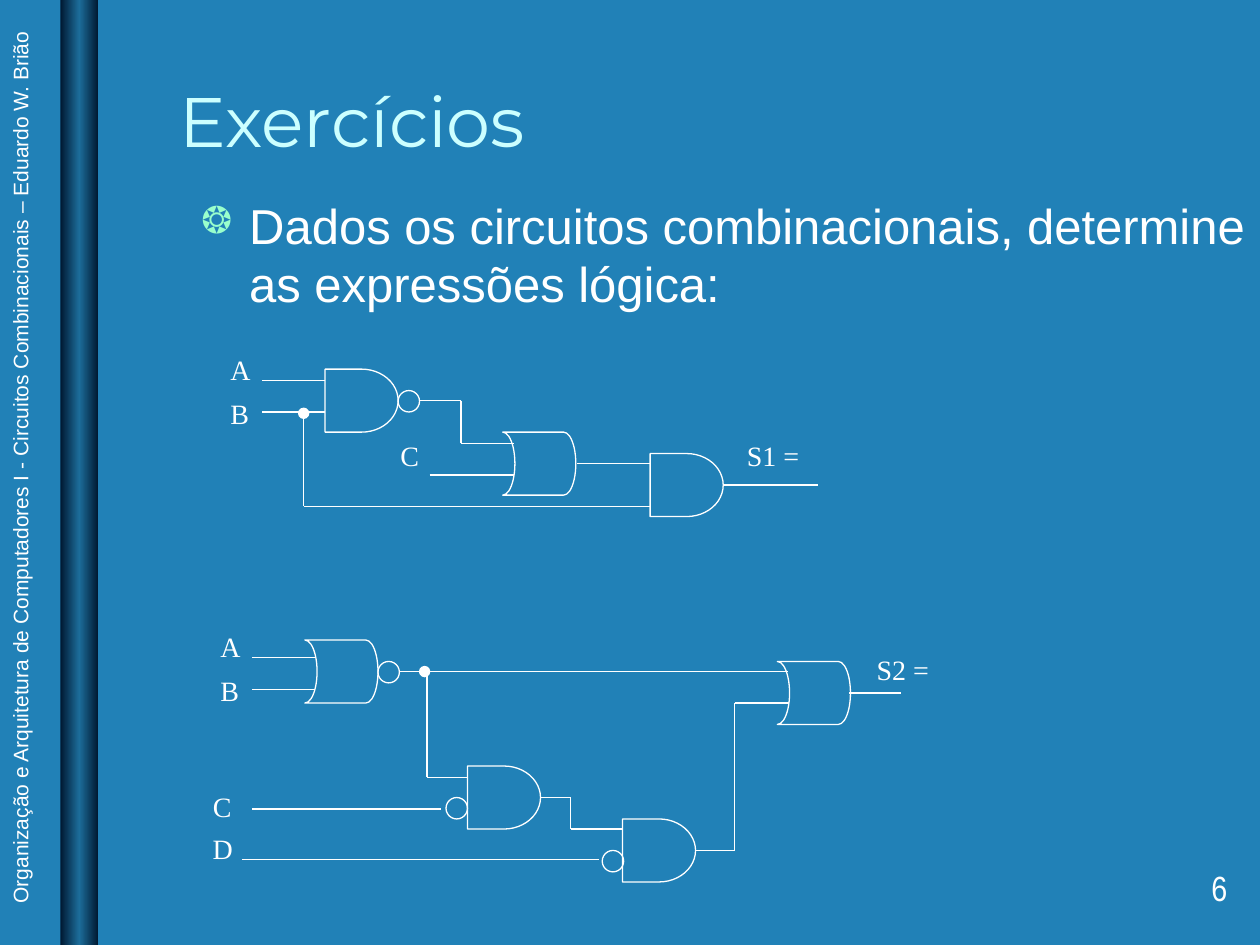
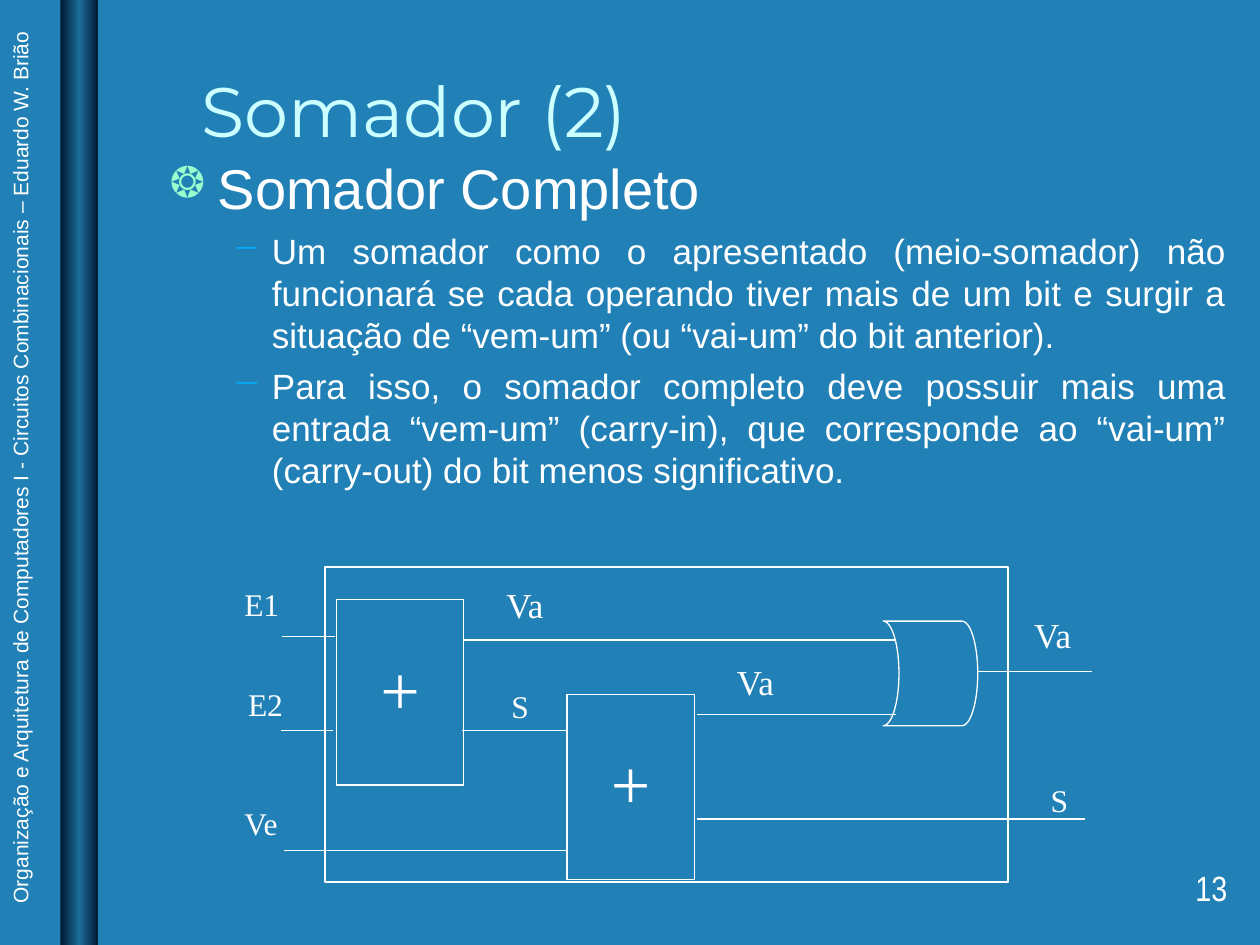
from copy import deepcopy
from dataclasses import dataclass
from itertools import pairwise

from lxml.etree import SubElement
from pptx import Presentation
from pptx.dml.color import RGBColor
from pptx.enum.shapes import MSO_CONNECTOR, MSO_SHAPE
from pptx.enum.text import MSO_ANCHOR, PP_ALIGN
from pptx.oxml.ns import qn
from pptx.util import Inches, Pt


@dataclass(frozen=True)
class Theme:
    back: str = "2181B7"
    ink: str = "FFFFFF"
    title: str = "CCFFFF"
    star: str = "99FFCC"
    dash: str = "01B0FF"
    edge: str = "001932"
    glow: str = "1C6D9A"
    head: str = "Montserrat"
    body: str = "Arial"
    page: str = "Arial Narrow"
    serif: str = "Times New Roman"
    big: int = 40
    small: int = 12
    sub: int = 20
    tag: int = 16
    line: float = 0.75


@dataclass(frozen=True)
class Bullet:
    char: str
    color: str
    left: float
    hang: float
    scale: int = 100


T = Theme()
STAR = Bullet("❂", T.star, 0.38, 0.38, 75)
DASH = Bullet("−", T.dash, 0.81, 0.31)
COURSE = ("Organização e Arquitetura de Computadores I - "
          "Circuitos Combinacionais – Eduardo W. Brião")
GATE = (0.58, 0.5)
BUBBLE = 0.17
DOT = 0.08


def rgb(code):
    return RGBColor.from_string(code)


def write(frame, words, *, size, font=T.body, color=T.ink,
          align=PP_ALIGN.LEFT, before=0, bullet=None):
    """Add one paragraph, filling the first one if it is still empty."""
    para = frame.paragraphs[0]
    if para.text:
        para = frame.add_paragraph()
    run = para.add_run()
    run.text = words
    run.font.size, run.font.name = Pt(size), font
    run.font.color.rgb = rgb(color)
    para.alignment = align
    if bullet:
        mark(para, bullet)
    para.space_before = Pt(before)


def mark(para, bullet):
    props = para._p.get_or_add_pPr()
    props.set("marL", str(Inches(bullet.left)))
    props.set("indent", str(-Inches(bullet.hang)))
    tint = SubElement(props, qn("a:buClr"))
    SubElement(tint, qn("a:srgbClr"), val=bullet.color)
    SubElement(props, qn("a:buSzPct"), val=str(bullet.scale * 1000))
    SubElement(props, qn("a:buChar"), char=bullet.char)


def frame(slide, at, wrap=True, anchor=MSO_ANCHOR.TOP, turn=0):
    """Add a text box and give back its text frame."""
    box = slide.shapes.add_textbox(*map(Inches, at))
    box.rotation = turn
    box.text_frame.word_wrap = wrap
    box.text_frame.vertical_anchor = anchor
    return box.text_frame


def label(slide, words, left, top, width, size=T.tag):
    high = 1.2 * size / 72 + 0.1
    write(frame(slide, (left, top, width, high), wrap=False), words,
          size=size, font=T.serif)


def shape(slide, kind, at, fill=None):
    item = slide.shapes.add_shape(kind, *map(Inches, at))
    item.shadow.inherit = False
    if fill:
        item.fill.solid()
        item.fill.fore_color.rgb = rgb(fill)
    else:
        item.fill.background()
    item.line.color.rgb = rgb(T.ink)
    item.line.width = Pt(T.line)
    return item


def and_gate(slide, left, top):
    return shape(slide, MSO_SHAPE.FLOWCHART_DELAY, (left, top, *GATE))


def or_gate(slide, left, top, size=GATE):
    item = shape(slide, MSO_SHAPE.FLOWCHART_STORED_DATA, (left, top, *size))
    item._element.spPr.xfrm.set("flipH", "1")


def bubble(slide, left, top):
    shape(slide, MSO_SHAPE.OVAL, (left, top, BUBBLE, BUBBLE))


def dot(slide, left, top):
    shape(slide, MSO_SHAPE.OVAL, (left, top, DOT, DOT), T.ink)


def wire(slide, *points, source=None):
    """Join the points in turn; a source gate feeds the first stretch."""
    for start, end in pairwise(points):
        link = slide.shapes.add_connector(
            MSO_CONNECTOR.STRAIGHT, *map(Inches, (*start, *end)))
        link.line.color.rgb = rgb(T.ink)
        link.line.width = Pt(T.line)
        SubElement(link._element.spPr, qn("a:effectLst"))
        if source is not None:
            link.begin_connect(source, 3)
            source = None


def adder(slide, left, top):
    box = shape(slide, MSO_SHAPE.RECTANGLE, (left, top, 1.01, 1.47))
    text = box.text_frame
    text.word_wrap = False
    text.vertical_anchor = MSO_ANCHOR.TOP
    text.margin_top = Inches(0.36)
    write(text, "+", size=T.big, font=T.serif, align=PP_ALIGN.CENTER)


def band(slide):
    bar = shape(slide, MSO_SHAPE.RECTANGLE, (0.48, 0, 0.3, 7.5))
    bar.line.fill.background()
    bar.fill.gradient()
    bar.fill.gradient_angle = 0
    stops = bar._element.spPr.find(".//" + qn("a:gsLst"))
    stops.append(deepcopy(stops[0]))
    looks = ((0, T.edge), (0.5, T.glow), (1, T.edge))
    for stop, (place, color) in zip(bar.fill.gradient_stops, looks):
        stop.position = place
        stop.color.rgb = rgb(color)


def page(deck, title, left, top, number):
    """Start a slide with the band, course name, title and page number."""
    slide = deck.slides.add_slide(deck.slide_layouts[6])
    slide.background.fill.solid()
    slide.background.fill.fore_color.rgb = rgb(T.back)
    band(slide)
    write(frame(slide, (-3.41, 3.55, 7.14, 0.3), wrap=False, turn=270),
          COURSE, size=T.small)
    write(frame(slide, (left, top, 8.5, 1.25), anchor=MSO_ANCHOR.BOTTOM),
          title, size=T.big, font=T.head, color=T.title)
    write(frame(slide, (7.76, 6.83, 2.08, 0.5)), str(number), size=T.sub,
          font=T.page, align=PP_ALIGN.RIGHT, before=12.5)
    return slide


def first(slide):
    """Circuit S1: NAND, OR and AND."""
    and_gate(slide, 2.58, 2.93)
    bubble(slide, 3.16, 3.1)
    or_gate(slide, 3.99, 3.43)
    last = and_gate(slide, 5.16, 3.6)
    dot(slide, 2.37, 3.24)
    for y in (3.02, 3.27):
        wire(slide, (2.08, y), (2.58, y))
    wire(slide, (3.33, 3.18), (3.66, 3.18), (3.66, 3.52), (4.08, 3.52))
    wire(slide, (3.41, 3.77), (4.08, 3.77))
    wire(slide, (4.58, 3.68), (5.16, 3.68))
    wire(slide, (2.41, 3.26), (2.41, 4.02), (5.16, 4.02))
    wire(slide, (5.74, 3.85), (6.49, 3.85), source=last)
    label(slide, "A", 1.73, 2.75, 0.36)
    label(slide, "B", 1.73, 3.1, 0.35)
    label(slide, "C", 3.08, 3.43, 0.35)
    label(slide, "S1 =", 5.83, 3.43, 0.67)


def second(slide):
    """Circuit S2: NOR, two ANDs with an inverted input, and OR."""
    or_gate(slide, 2.42, 5.08)
    or_gate(slide, 6.17, 5.25)
    upper = and_gate(slide, 3.71, 6.08)
    lower = and_gate(slide, 4.94, 6.5)
    for spot in ((3, 5.25), (3.54, 6.33), (4.78, 6.75)):
        bubble(slide, *spot)
    dot(slide, 3.33, 5.29)
    for y in (5.22, 5.47):
        wire(slide, (2, y), (2.5, y))
    wire(slide, (3.17, 5.33), (6.25, 5.33))
    wire(slide, (3.39, 5.33), (3.39, 6.17), (3.71, 6.17))
    wire(slide, (2, 6.42), (3.5, 6.42))
    wire(slide, (1.92, 6.82), (4.75, 6.82))
    wire(slide, (4.29, 6.33), (4.53, 6.33), (4.53, 6.58), (4.94, 6.58),
         source=upper)
    wire(slide, (5.52, 6.75), (5.83, 6.75), (5.83, 5.58), (6.26, 5.58),
         source=lower)
    wire(slide, (6.74, 5.5), (7.15, 5.5))
    label(slide, "A", 1.65, 4.95, 0.36)
    label(slide, "B", 1.65, 5.3, 0.35)
    label(slide, "C", 1.59, 6.22, 0.35)
    label(slide, "D", 1.59, 6.55, 0.36)
    label(slide, "S2 =", 6.86, 5.13, 0.67)


def full(slide):
    """Full adder made of two half adders and an OR gate."""
    shape(slide, MSO_SHAPE.RECTANGLE, (2.58, 4.5, 5.42, 2.5))
    adder(slide, 2.67, 4.76)
    adder(slide, 4.5, 5.51)
    or_gate(slide, 7.01, 4.93, (0.75, 0.83))
    runs = ((2.24, 2.66, 5.05), (2.23, 2.64, 5.8), (3.67, 4.49, 5.8),
            (2.25, 4.5, 6.75), (3.68, 7.1, 5.08), (5.53, 7.11, 5.67),
            (7.75, 8.67, 5.33), (5.53, 8.61, 6.5))
    for start, end, y in runs:
        wire(slide, (start, y), (end, y))
    tags = (("E1", 1.84, 4.59, 0.48), ("E2", 1.87, 5.39, 0.48),
            ("Ve", 1.84, 6.33, 0.49), ("S", 3.96, 5.4, 0.34),
            ("S", 8.24, 6.15, 0.34))
    for tag in tags:
        label(slide, *tag, size=18)
    for left, top in ((3.92, 4.58), (5.75, 5.19), (8.11, 4.82)):
        label(slide, "Va", left, top, 0.52, size=20)


def main():
    deck = Presentation()
    deck.slide_width, deck.slide_height = Inches(10), Inches(7.5)

    slide = page(deck, "Exercícios", 1.33, 0.08, 6)
    write(frame(slide, (1.5, 1.5, 8.5, 6)),
          "Dados os circuitos combinacionais, determine as expressões lógica:",
          size=28, before=7, bullet=STAR)
    first(slide)
    second(slide)

    slide = page(deck, "Somador (2)", 1.5, 0, 13)
    body = frame(slide, (1.25, 1.17, 8.58, 6.33))
    write(body, "Somador Completo", size=32, before=8, bullet=STAR)
    for words in (
        "Um somador como o apresentado (meio-somador) não funcionará se cada "
        "operando tiver mais de um bit e surgir a situação de “vem-um” "
        "(ou “vai-um” do bit anterior).",
        "Para isso, o somador completo deve possuir mais uma entrada “vem-um” "
        "(carry-in), que corresponde ao “vai-um” (carry-out) do bit menos "
        "significativo.",
    ):
        write(body, words, size=T.sub, align=PP_ALIGN.JUSTIFY, before=5,
              bullet=DASH)
    full(slide)

    deck.save("out.pptx")


if __name__ == "__main__":
    main()
